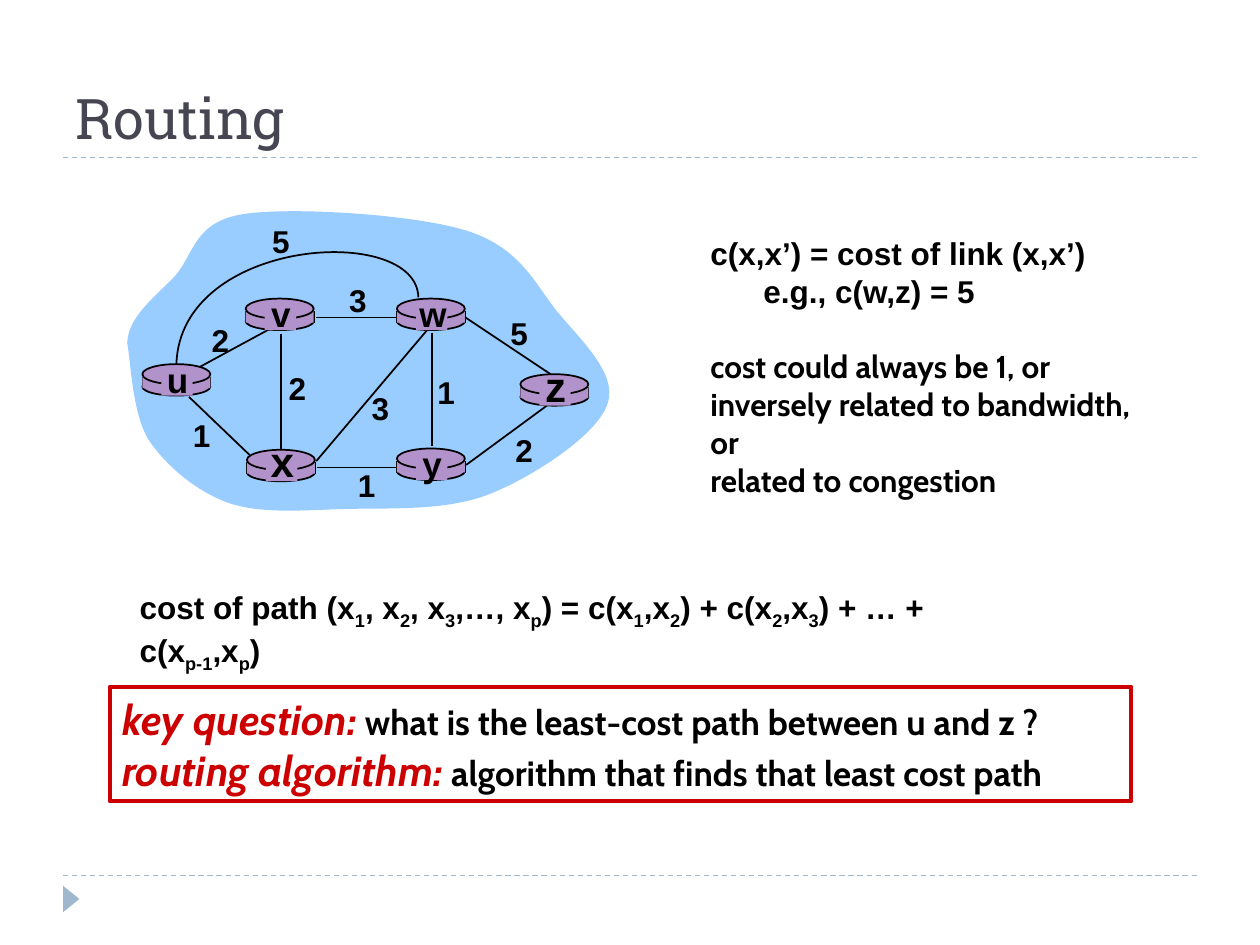
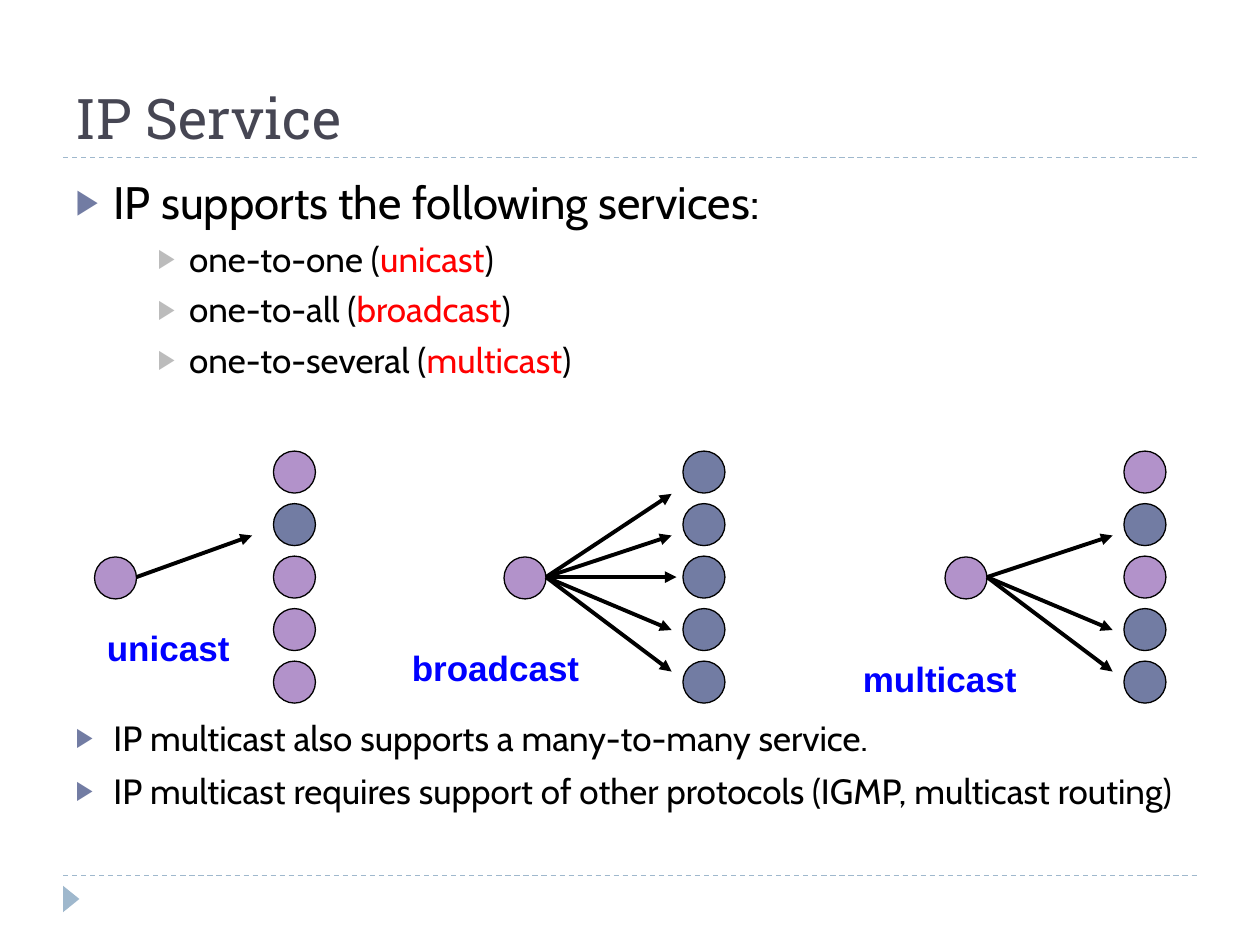
from lxml import etree
from pptx import Presentation
from pptx import util as u
from pptx.dml.color import RGBColor
from pptx.enum import dml, shapes, text
from pptx.oxml import ns

COLORS = {
    "title": "464653", "rule": "9FB8CD", "cloud": "99CCFF", "lilac": "B292CA",
    "slate": "727CA3", "black": "000000", "key": "CC0000", "red": "FF0000",
    "blue": "0000FF", "gray": "BCBCBC",
}
ARIAL = {"name": "Arial", "bold": True}
CABIN = {"name": "Cabin", "bold": False}
CABIN_BOLD = {"name": "Cabin", "bold": True}
TITLE = {"name": "Roboto Slab"}

CLOUD = [
    (1.01, 2.72),
    (1.02, 2.51), (1.23, 2.36), (1.39, 2.19),
    (1.54, 2.02), (1.54, 1.76), (1.93, 1.70),
    (2.31, 1.64), (3.28, 1.70), (3.70, 1.83),
    (4.12, 1.96), (4.24, 2.24), (4.42, 2.47),
    (4.61, 2.70), (4.91, 2.97), (4.82, 3.21),
    (4.74, 3.45), (4.24, 3.78), (3.89, 3.92),
    (3.54, 4.06), (3.08, 4.03), (2.73, 4.04),
    (2.39, 4.05), (2.07, 4.08), (1.81, 3.99),
    (1.56, 3.90), (1.32, 3.70), (1.18, 3.49),
    (1.05, 3.28), (1.04, 2.88), (1.01, 2.72),
]
ARC = [(3.32, 2.36), (3.31, 1.77), (1.43, 1.88), (1.40, 2.89)]
LINKS = [
    (1.59, 2.91, 2.18, 2.59), (3.43, 2.64, 3.43, 3.54), (2.23, 2.65, 2.23, 3.58),
    (2.51, 3.66, 3.39, 2.62), (3.70, 3.69, 4.34, 3.22), (3.16, 3.71, 2.52, 3.71),
    (1.98, 3.61, 1.50, 3.15), (3.15, 2.52, 2.51, 2.52), (4.37, 2.97, 3.68, 2.51),
]
ROUTERS = [
    ("u", 1.13, 2.89, 20), ("x", 1.96, 3.57, 24), ("v", 1.95, 2.37, 20),
    ("w", 3.15, 2.37, 20), ("y", 3.15, 3.56, 20), ("z", 4.13, 2.97, 24),
]
COSTS = [
    ("2", 1.58, 2.50), ("2", 2.19, 2.88), ("1", 1.43, 3.25), ("3", 2.85, 3.04),
    ("1", 2.74, 3.65), ("1", 3.37, 2.91), ("2", 3.99, 3.37), ("5", 3.95, 2.44),
    ("3", 2.67, 2.18), ("5", 2.06, 1.71),
]
NOTES = [
    ("c(x,x’) = cost of link (x,x’)", ARIAL, 0, 0),
    ("e.g., c(w,z) = 5", ARIAL, 0.42, 0),
    ("cost could always be 1, or", CABIN_BOLD, 0, 21.5),
    ("inversely related to bandwidth, or", CABIN_BOLD, 0, 0),
    ("related to congestion", CABIN_BOLD, 0, 0),
]
PATH_COST = ("cost of path (x|1|, x|2|, x|3|,…, x|p|) = c(x|1|,x|2|) + "
             "c(x|2|,x|3|) + … + c(x|p-1|,x|p|)")
QUESTIONS = [
    ("key question:", " what is the least-cost path between u and z ?"),
    ("routing algorithm:", " algorithm that finds that least cost path"),
]

TOP = {"level": 0, "left": 0.3, "hang": 0.3, "bullet": "slate"}
SUB = {"level": 2, "left": 0.9, "hang": 0.25, "bullet": "gray"}
SERVICES = [
    (TOP, 26, 6, ["IP supports the following services:"]),
    (SUB, 20, 5, ["one-to-one (", "unicast", ")"]),
    (SUB, 20, 5, ["one-to-all (", "broadcast", ")"]),
    (SUB, 20, 5, ["one-to-several (", "multicast", ")"]),
    (TOP, 20, 192, ["IP multicast also supports a many-to-many service."]),
    (TOP, 20, 6, ["IP multicast requires support of other protocols "
                  "(IGMP, multicast routing)"]),
]
CASTS = [
    ("unicast", 0.75, {1}, 1.25, (0.75, 4.92, 1.33)),
    ("broadcast", 4.0, {0, 1, 2, 3, 4}, 1.33, (3.17, 5.08, 1.67)),
    ("multicast", 7.5, {1, 3, 4}, 1.33, (6.75, 5.17, 1.67)),
]
TIPS = [(0, 3.92), (0, 4.25), (0.04, 4.58), (0, 5), (0, 5.33)]


def color(name):
    return RGBColor.from_string(COLORS[name])


def assign(target, values):
    for name, value in values.items():
        setattr(target, name, value)


def place(shape, *bounds):
    assign(shape, dict(zip(("left", "top", "width", "height"), map(u.Inches, bounds))))


def write(para, words, font, size, ink="black", **extra):
    span = para.add_run()
    span.text = words
    assign(span.font, {**font, "size": u.Pt(size), **extra})
    span.font.color.rgb = color(ink)
    return span


def paint(shape, fill=None, line=None, weight=1):
    shape.shadow.inherit = False
    if fill:
        shape.fill.solid()
        shape.fill.fore_color.rgb = color(fill)
    else:
        shape.fill.background()
    if line:
        shape.line.color.rgb = color(line)
        shape.line.width = u.Pt(weight)
    else:
        shape.line.fill.background()


def add_shape(page, kind, bounds, fill=None, line=None, weight=1):
    shape = page.shapes.add_shape(kind, *map(u.Inches, bounds))
    paint(shape, fill, line, weight)
    return shape


def add_line(page, ends, ink="black", weight=1, dash=None, arrow=False):
    line = page.shapes.add_connector(shapes.MSO_CONNECTOR.STRAIGHT, *map(u.Inches, ends))
    line.line.color.rgb = color(ink)
    line.line.width = u.Pt(weight)
    if dash:
        line.line.dash_style = dash
    properties = line.element.spPr
    if arrow:
        outline = properties.find(ns.qn("a:ln"))
        etree.SubElement(outline, ns.qn("a:tailEnd"), type="triangle")
    etree.SubElement(properties, ns.qn("a:effectLst"))
    return line


def add_curve(page, points, closed, **look):
    corners = [(u.Inches(x), u.Inches(y)) for x, y in points]
    builder = page.shapes.build_freeform(*corners[0], scale=1.0)
    builder.add_line_segments(corners[1:], close=closed)
    shape = builder.convert_to_shape()
    segments = list(shape.element.iter(ns.qn("a:lnTo")))
    for start in range(0, len(segments) - 2, 3):
        curve = etree.Element(ns.qn("a:cubicBezTo"))
        segments[start].addprevious(curve)
        for segment in segments[start:start + 3]:
            curve.append(segment[0])
            segment.getparent().remove(segment)
    paint(shape, **look)


def add_box(page, bounds, wrap=True):
    box = page.shapes.add_textbox(*map(u.Inches, bounds))
    box.text_frame.word_wrap = wrap
    return box.text_frame


def add_label(page, words, bounds, size):
    para = add_box(page, bounds, False).paragraphs[0]
    para.alignment = text.PP_ALIGN.CENTER
    write(para, words, ARIAL, size)


def each_para(frame, items):
    for index, item in enumerate(items):
        yield (frame.add_paragraph() if index else frame.paragraphs[0]), item


def add_page(deck, layout, title):
    page = deck.slides.add_slide(deck.slide_layouts[layout])
    box = page.shapes.title
    place(box, 0.5, 0.17, 9, 1.08)
    frame = box.text_frame
    assign(frame, {"vertical_anchor": text.MSO_ANCHOR.BOTTOM, "word_wrap": True,
                   "auto_size": text.MSO_AUTO_SIZE.NONE})
    para = frame.paragraphs[0]
    para.alignment = text.PP_ALIGN.LEFT
    write(para, title, TITLE, 32, "title")
    return page


def dress_master(deck, page):
    rules = [add_line(page, (0.5, y, 9.5, y), "rule", 0.75, dml.MSO_LINE.DASH)
             for y in (6.95, 1.25)]
    marker = add_shape(page, shapes.MSO_SHAPE.ISOSCELES_TRIANGLE,
                       (0.46, 7.07, 0.21, 0.13), "rule")
    marker.rotation = 90
    for index, shape in enumerate([*rules, marker]):
        shape.element.xpath(".//p:cNvPr")[0].set("id", str(20 + index))
        deck.slide_master.shapes.element.insert(2 + index, shape.element)


def add_router(page, name, left, top, size):
    oval, block = shapes.MSO_SHAPE.OVAL, shapes.MSO_SHAPE.RECTANGLE
    add_shape(page, oval, (left, top + 0.11, 0.54, 0.14), "lilac", "black")
    for x in (left, left + 0.54):
        add_line(page, (x, top + 0.1, x, top + 0.19))
    add_shape(page, block, (left, top + 0.1, 0.54, 0.09), "lilac")
    add_shape(page, oval, (left, top, 0.54, 0.16), "lilac", "black")
    add_shape(page, block, (left + 0.15, top + 0.02, 0.25, 0.23), "lilac")
    height, middle = (0.5, 0.09) if size == 24 else (0.43, 0.12)
    add_label(page, name, (left + 0.08, top + middle - height / 2, 0.4, height), size)


def draw_routing(page):
    add_curve(page, CLOUD, True, fill="cloud")
    for ends in LINKS:
        add_line(page, ends)
    add_curve(page, ARC, False, line="black")
    for router in ROUTERS:
        add_router(page, *router)
    for cost, left, top in COSTS:
        add_label(page, cost, (left, top, 0.34, 0.4), 18)

    panel = add_shape(page, shapes.MSO_SHAPE.RECTANGLE, (0.87, 5.45, 8.11, 0.91),
                      line="key", weight=2.25)
    for para, (lead, rest) in each_para(panel.text_frame, QUESTIONS):
        para.alignment = text.PP_ALIGN.LEFT
        write(para, lead, CABIN_BOLD, 24, "key", italic=True)
        write(para, rest, CABIN_BOLD, 20)

    for para, (words, font, left, gap) in each_para(add_box(page, (5.54, 1.81, 3.77, 2.22)), NOTES):
        para.space_before = u.Pt(gap)
        para._p.get_or_add_pPr().set("marL", str(u.Inches(left)))
        write(para, words, font, 18)

    para = add_box(page, (1.01, 4.62, 7.3, 0.4)).paragraphs[0]
    for index, words in enumerate(PATH_COST.split("|")):
        span = write(para, words, ARIAL, 18)
        if index % 2:
            span.font._element.set("baseline", "-25000")


def add_bullet(para, left, hang, ink):
    properties = para._p.get_or_add_pPr()
    properties.set("marL", str(u.Inches(left)))
    properties.set("indent", str(-u.Inches(hang)))
    tint = etree.SubElement(properties, ns.qn("a:buClr"))
    etree.SubElement(tint, ns.qn("a:srgbClr"), val=COLORS[ink])
    etree.SubElement(properties, ns.qn("a:buSzPct"), val="76000")
    etree.SubElement(properties, ns.qn("a:buFont"), typeface="Arial")
    etree.SubElement(properties, ns.qn("a:buChar"), char="▶")


def draw_service(page):
    body = page.placeholders[1]
    place(body, 0.5, 1.33, 9, 5.4)
    body.text_frame.auto_size = text.MSO_AUTO_SIZE.NONE
    for para, (style, size, gap, words) in each_para(body.text_frame, SERVICES):
        assign(para, {"level": style["level"], "space_before": u.Pt(gap)})
        add_bullet(para, style["left"], style["hang"], style["bullet"])
        for index, part in enumerate(words):
            write(para, part, CABIN, size, "red" if index % 2 else "black")

    node, pitch = 1 / 3, 5 / 12
    for name, left, targets, reach, label in CASTS:
        circles = [(left, 4.42, "lilac")]
        circles += [(left + 1.42, 3.58 + row * pitch, "slate" if row in targets else "lilac")
                    for row in range(len(TIPS))]
        for x, y, fill in circles:
            add_shape(page, shapes.MSO_SHAPE.OVAL, (x, y, node, node), fill, "black", 0.75)
        for row in sorted(targets):
            extra, y = TIPS[row]
            add_line(page, (left + node, 4.58, left + reach + extra, y), weight=2.25, arrow=True)
        write(add_box(page, (*label, 0.43)).paragraphs[0], name, ARIAL, 20, "blue")


deck = Presentation()
assign(deck, {"slide_width": u.Inches(10), "slide_height": u.Inches(7.5)})
routing = add_page(deck, 5, "Routing")
dress_master(deck, routing)
draw_routing(routing)
draw_service(add_page(deck, 1, "IP Service"))
deck.save("out.pptx")
